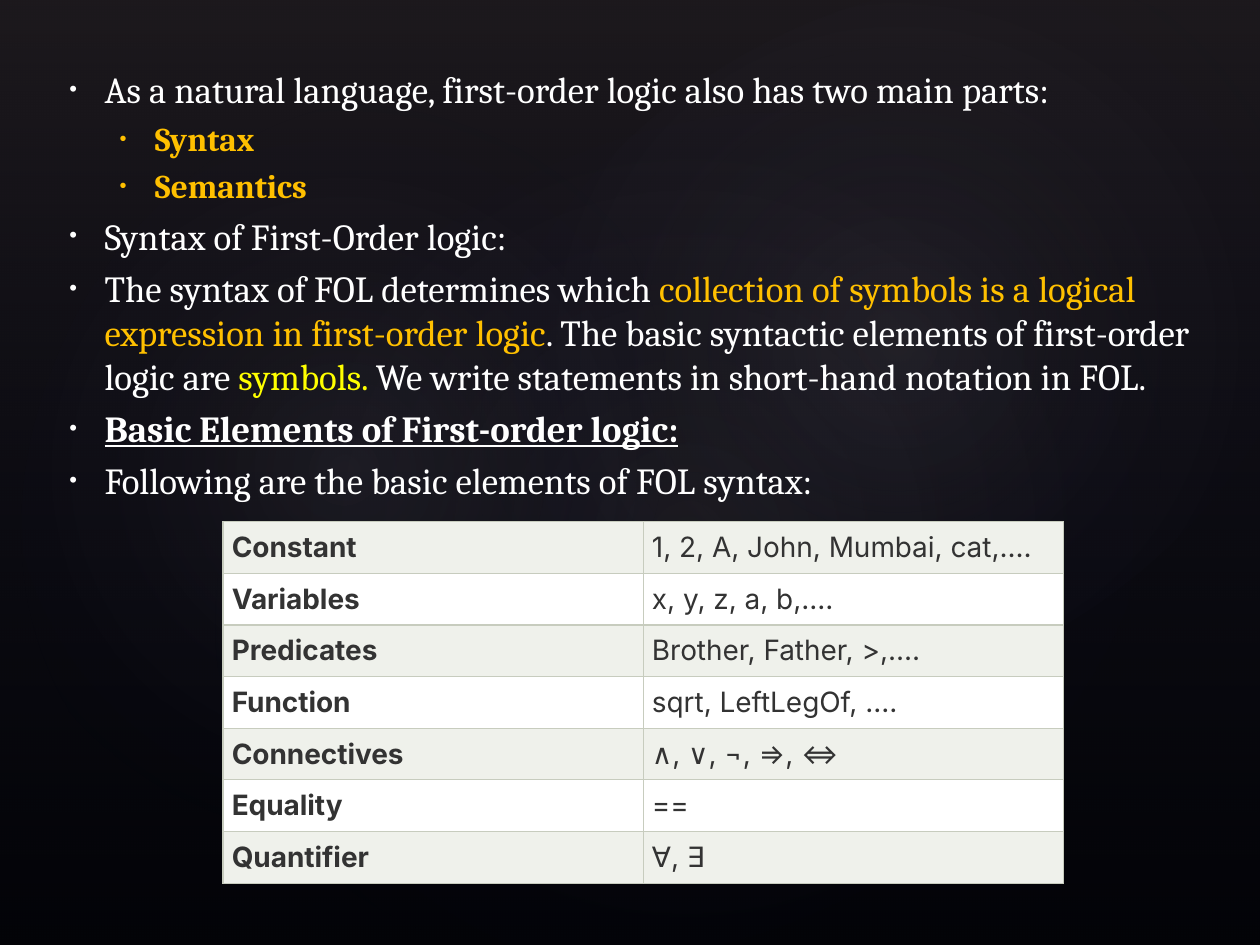
import lxml.etree as etree
import pptx
import pptx.dml.color
import pptx.enum.shapes
import pptx.enum.text
import pptx.oxml.ns
import pptx.util

Inches, Pt = pptx.util.Inches, pptx.util.Pt
qn = pptx.oxml.ns.qn

THEME = {
    "background": "000000", "text": "FFFFFF", "accent": "FFC000", "highlight": "FFFF00",
    "table_text": "333333", "band": ("EFF1EB", "FFFFFF"), "border": "C7CCBE",
    "body_font": "Cambria", "table_font": "Inter",
    "level_sizes": (21, 19), "level_indents": (0.3, 0.7), "table_size": 16,
}
HANGING = 0.28

# Each bullet: level, then runs of (text, colour name, style)
BULLETS = [
    (0, [("As a natural language, first-order logic also has two main parts:", "text", "")]),
    (1, [("Syntax", "accent", "bold")]),
    (1, [("Semantics", "accent", "bold")]),
    (0, [("Syntax of First-Order logic:", "text", "")]),
    (0, [("The syntax of FOL determines which ", "text", ""),
         ("collection of symbols is a logical expression in first-order logic", "accent", ""),
         (". The basic syntactic elements of first-order logic are ", "text", ""),
         ("symbols. ", "highlight", ""),
         ("We write statements in short-hand notation in FOL.", "text", "")]),
    (0, [("Basic Elements of First-order logic:", "text", "bold underline")]),
    (0, [("Following are the basic elements of FOL syntax:", "text", "")]),
]

ELEMENTS = [
    ("Constant", "1, 2, A, John, Mumbai, cat,...."),
    ("Variables", "x, y, z, a, b,...."),
    ("Predicates", "Brother, Father, >,...."),
    ("Function", "sqrt, LeftLegOf, ...."),
    ("Connectives", "∧, ∨, ¬, ⇒, ⇔"),
    ("Equality", "=="),
    ("Quantifier", "∀, ∃"),
]

# Gradient stops: position %, colour, opacity %
SHADE = [(0, "504652", 36), (100, "242852", 10)]
# Glows: left, top, width, height, rotation, centre opacity %
GLOWS = [
    (1.5, 1.14, 7.92, 6.24, 328.7, 7),
    (-0.3, 1.28, 6.06, 4.9, 294.3, 8),
    (3.58, 0.13, 7.09, 5.2, 328.7, 8),
]


def rgb(value):
    return pptx.dml.color.RGBColor.from_string(value)


def add_child(parent, tag, **attributes):
    return etree.SubElement(parent, qn(tag), {k: str(v) for k, v in attributes.items()})


def add_gradient_shape(slide, kind, box, stops, radial=False):
    shape = slide.shapes.add_shape(kind, *map(Inches, box))
    shape.shadow.inherit = False
    shape.line.fill.background()
    shape.fill.gradient()
    gradient = shape._element.spPr.find(qn("a:gradFill"))
    for child in list(gradient):
        gradient.remove(child)
    stop_list = add_child(gradient, "a:gsLst")
    for position, colour, opacity in stops:
        stop = add_child(stop_list, "a:gs", pos=position * 1000)
        add_child(add_child(stop, "a:srgbClr", val=colour), "a:alpha", val=opacity * 1000)
    if radial:
        centre = add_child(gradient, "a:path", path="circle")
        add_child(centre, "a:fillToRect", l=50000, t=50000, r=50000, b=50000)
    else:
        add_child(gradient, "a:lin", ang=90 * 60000, scaled=0)
    return shape


def add_backdrop(slide):
    slide.background.fill.solid()
    slide.background.fill.fore_color.rgb = rgb(THEME["background"])
    kinds = pptx.enum.shapes.MSO_SHAPE
    add_gradient_shape(slide, kinds.RECTANGLE, (0, 0, 10, 7.5), SHADE)
    for *box, rotation, opacity in GLOWS:
        stops = [(0, "C4BCC6", opacity), (58, "242852", 0)]
        add_gradient_shape(slide, kinds.OVAL, box, stops, radial=True).rotation = rotation


def format_font(font, name, size, colour, bold=False, underline=False):
    font.name, font.size, font.bold, font.underline = name, Pt(size), bold, underline
    font.color.rgb = rgb(colour)


def fill_body(body):
    body.left, body.top, body.width, body.height = map(Inches, (0.43, 0.13, 9.13, 7.01))
    frame = body.text_frame
    frame.word_wrap = True
    frame.auto_size = pptx.enum.text.MSO_AUTO_SIZE.NONE
    frame.vertical_anchor = pptx.enum.text.MSO_ANCHOR.TOP
    frame.margin_top = Inches(0.4)
    frame.text = "\n".join("" for _ in BULLETS)
    for index, (paragraph, (level, runs)) in enumerate(zip(frame.paragraphs, BULLETS)):
        size = THEME["level_sizes"][level]
        paragraph.level = level
        paragraph.space_before = Pt(round(size * 0.22, 1) if index else 0)
        properties = paragraph._p.get_or_add_pPr()
        properties.set("marL", str(Inches(THEME["level_indents"][level])))
        properties.set("indent", str(-Inches(HANGING)))
        add_child(properties, "a:buSzPct", val=60000)
        add_child(properties, "a:buFont", typeface="Arial")
        add_child(properties, "a:buChar", char="•")
        for text, colour, style in runs:
            run = paragraph.add_run()
            run.text = text
            format_font(run.font, THEME["body_font"], size, THEME[colour],
                        "bold" in style, "underline" in style)


def add_borders(cell):
    properties = cell._tc.get_or_add_tcPr()
    for position, side in enumerate(("a:lnL", "a:lnR", "a:lnT", "a:lnB")):
        line = add_child(properties, side, w=Pt(0.75))
        add_child(add_child(line, "a:solidFill"), "a:srgbClr", val=THEME["border"])
        properties.insert(position, line)


def add_elements_table(slide):
    row_height = 0.41
    table = slide.shapes.add_table(
        len(ELEMENTS), 2, Inches(1.77), Inches(4.14),
        Inches(6.67), Inches(row_height * len(ELEMENTS))).table
    table.first_row = table.horz_banding = False
    for row_index, texts in enumerate(ELEMENTS):
        table.rows[row_index].height = Inches(row_height)
        for column_index, text in enumerate(texts):
            cell = table.cell(row_index, column_index)
            cell.fill.solid()
            cell.fill.fore_color.rgb = rgb(THEME["band"][row_index % 2])
            cell.margin_left = cell.margin_right = Inches(0.07)
            cell.margin_top = cell.margin_bottom = Inches(0.07)
            add_borders(cell)
            paragraph = cell.text_frame.paragraphs[0]
            paragraph.text = text
            paragraph.alignment = pptx.enum.text.PP_ALIGN.JUSTIFY
            format_font(paragraph.runs[0].font, THEME["table_font"], THEME["table_size"],
                        THEME["table_text"], bold=column_index == 0)


def main():
    presentation = pptx.Presentation()
    presentation.slide_width, presentation.slide_height = Inches(10), Inches(7.5)
    slide = presentation.slides.add_slide(presentation.slide_layouts[1])
    title, body = slide.placeholders
    slide.shapes._spTree.remove(title._element)
    add_backdrop(slide)
    slide.shapes._spTree.append(body._element)  # bring the text in front of the backdrop
    fill_body(body)
    add_elements_table(slide)
    presentation.save("out.pptx")


if __name__ == "__main__":
    main()
